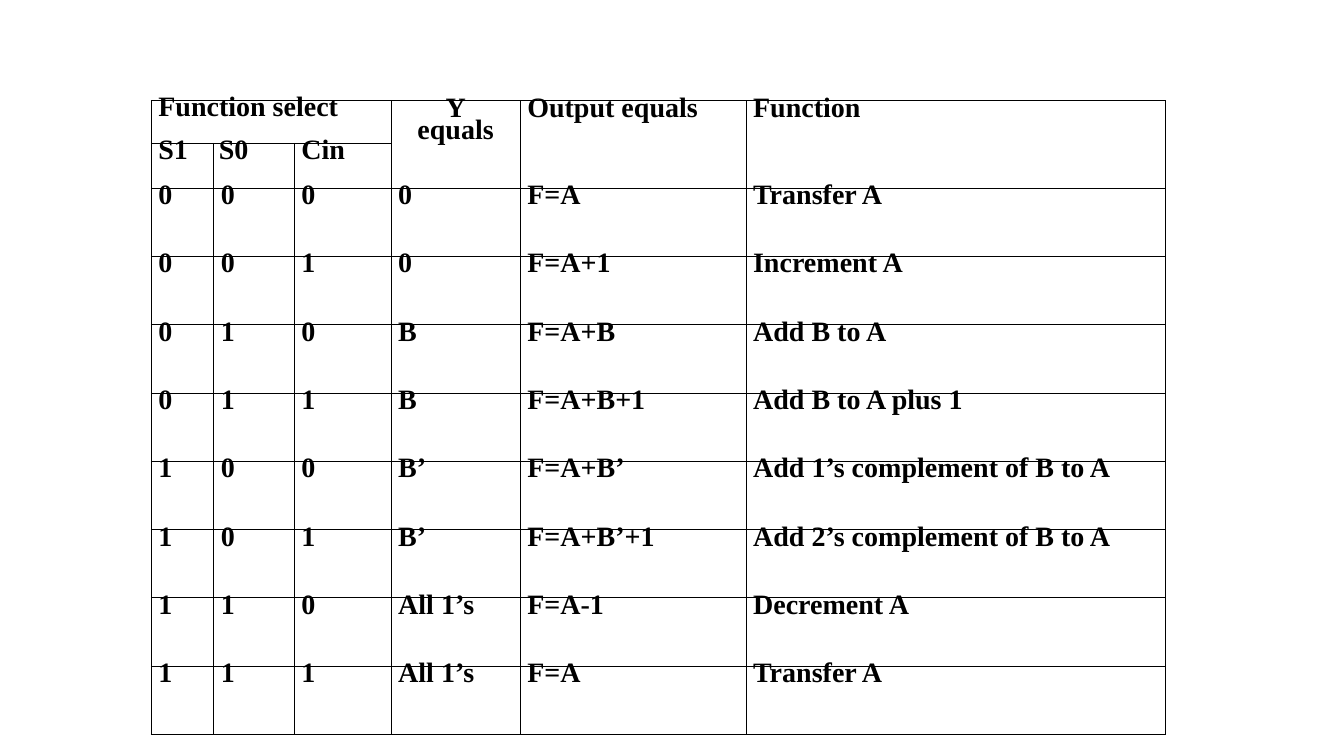
from lxml import etree
from pptx import Presentation
from pptx import util as u
from pptx.dml.color import RGBColor
from pptx.enum import text
from pptx.oxml import ns

HEADER = [
    (0, 0, ["Function select"], dict(spacing=15.6)),
    (0, 3, ["Y", "equals"], dict(spacing=16.1, indent=0, align=text.PP_ALIGN.CENTER)),
    (0, 4, ["Output equals"], {}),
    (0, 5, ["Function"], {}),
    (1, 0, ["S1"], dict(spacing=15.7)),
    (1, 1, ["S0"], dict(spacing=15.7, indent=0.05)),
    (1, 2, ["Cin"], dict(spacing=15.7)),
]
OPERATIONS = [
    ("0", "0", "0", "0", "F=A", "Transfer A"),
    ("0", "0", "1", "0", "F=A+1", "Increment A"),
    ("0", "1", "0", "B", "F=A+B", "Add B to A"),
    ("0", "1", "1", "B", "F=A+B+1", "Add B to A plus 1"),
    ("1", "0", "0", "B’", "F=A+B’", "Add 1’s complement of B to A"),
    ("1", "0", "1", "B’", "F=A+B’+1", "Add 2’s complement of B to A"),
    ("1", "1", "0", "All 1’s", "F=A-1", "Decrement A"),
    ("1", "1", "1", "All 1’s", "F=A", "Transfer A"),
]
MERGES = [(0, 0, 0, 2), (0, 3, 1, 3), (0, 4, 1, 4), (0, 5, 1, 5)]
COLUMNS = [0.62, 0.8, 0.96, 1.28, 2.24, 4.16]
HEADER_ROWS = [0.42, 0.44]
LEFT, TOP, HEIGHT = 1.5, 1, 6.28
INK = "000000"


def color(value):
    return RGBColor.from_string(value)


def write(cell, lines, spacing=16.1, indent=0.07, align=text.PP_ALIGN.LEFT):
    tf = cell.text_frame
    for i, line in enumerate(lines):
        p = tf.paragraphs[0] if i == 0 else tf.add_paragraph()
        p._p.get_or_add_pPr().set("marL", str(u.Inches(indent)))
        p.alignment = align
        p.line_spacing = u.Pt(spacing)
        r = p.add_run()
        r.text = line
        r.font.name = "Times New Roman"
        r.font.size = u.Pt(20)
        r.font.bold = True
        r.font.color.rgb = color(INK)


def style(cell):
    cell.margin_left = cell.margin_right = cell.margin_top = cell.margin_bottom = 0
    cell.fill.background()
    tcPr = cell._tc.get_or_add_tcPr()
    for i, side in enumerate(("lnL", "lnR", "lnT", "lnB")):
        ln = etree.Element(ns.qn("a:" + side), w=str(u.Pt(0.5)))
        fill = etree.SubElement(ln, ns.qn("a:solidFill"))
        etree.SubElement(fill, ns.qn("a:srgbClr"), val=INK)
        tcPr.insert(i, ln)


prs = Presentation()
prs.slide_width, prs.slide_height = u.Inches(13.33), u.Inches(7.5)
s = prs.slides.add_slide(prs.slide_layouts[6])

body_height = (HEIGHT - sum(HEADER_ROWS)) / len(OPERATIONS)
heights = HEADER_ROWS + [body_height] * len(OPERATIONS)
table = s.shapes.add_table(len(heights), len(COLUMNS), u.Inches(LEFT), u.Inches(TOP),
                           u.Inches(sum(COLUMNS)), u.Inches(HEIGHT)).table
table.first_row = table.horz_banding = False
for column, width in zip(table.columns, COLUMNS):
    column.width = u.Inches(width)
for row, height in zip(table.rows, heights):
    row.height = u.Inches(height)
for cell in table.iter_cells():
    style(cell)
for top, left, bottom, right in MERGES:
    table.cell(top, left).merge(table.cell(bottom, right))
for row, col, lines, layout in HEADER:
    write(table.cell(row, col), lines, **layout)
for row, operation in enumerate(OPERATIONS, len(HEADER_ROWS)):
    for col, value in enumerate(operation):
        write(table.cell(row, col), [value])

prs.save("out.pptx")
